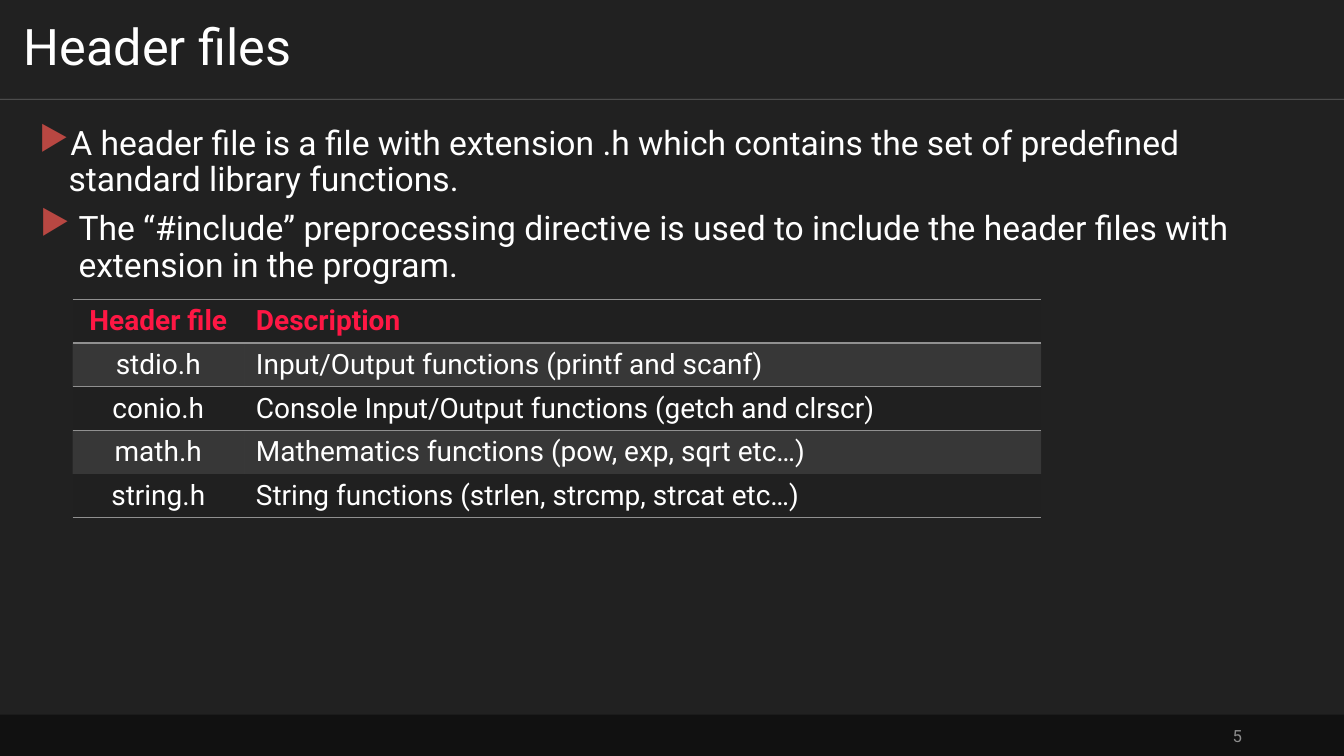
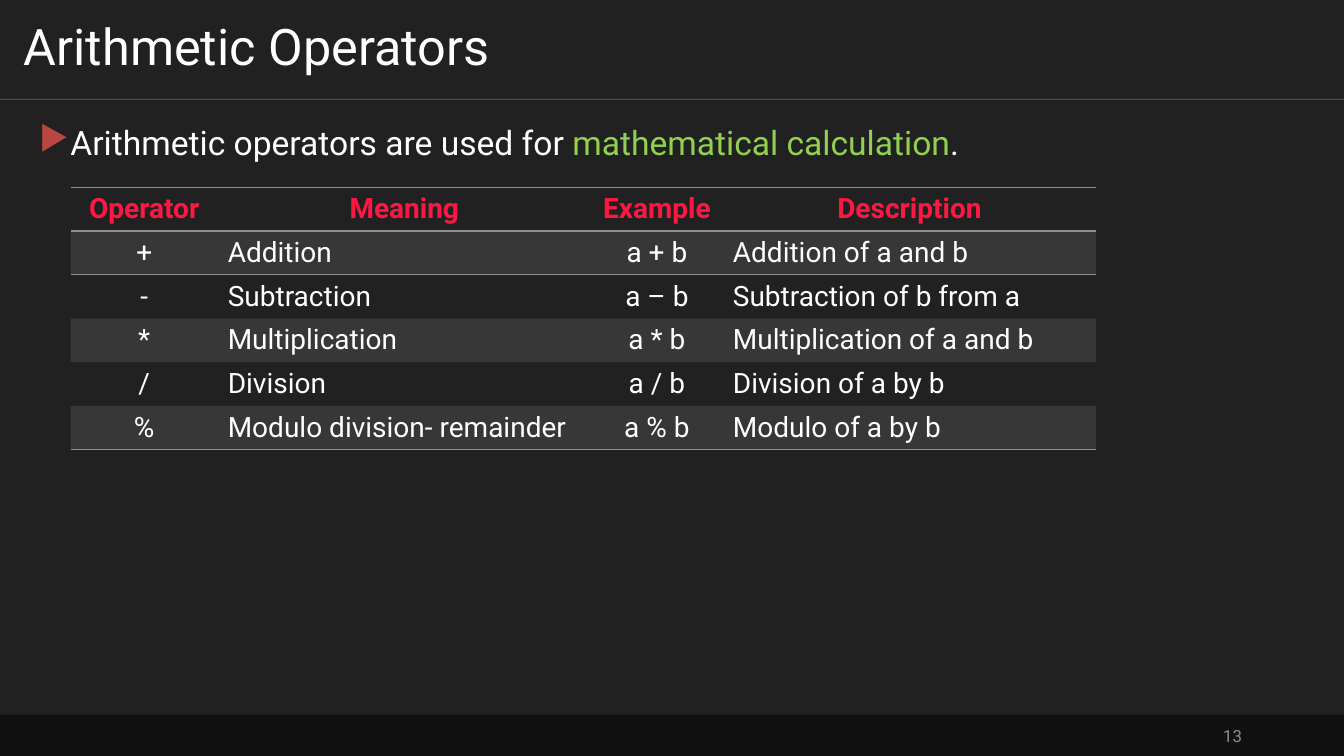
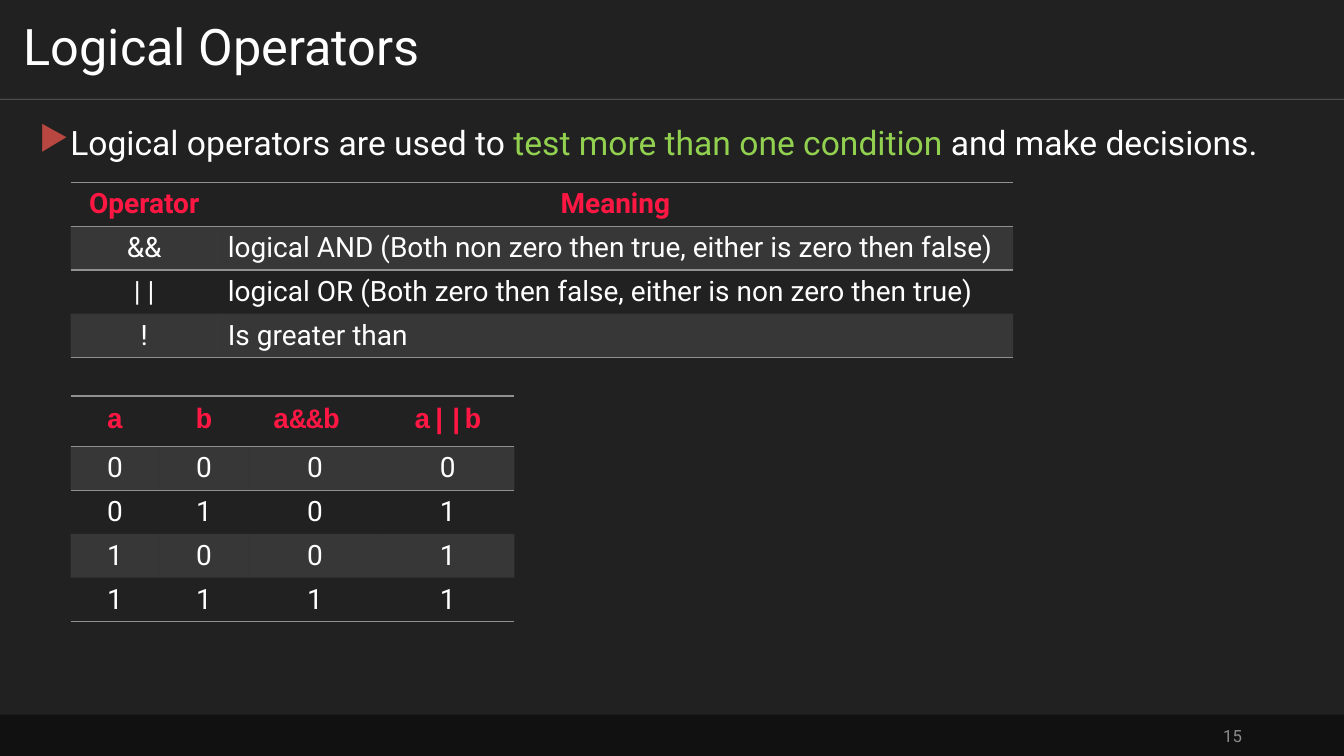
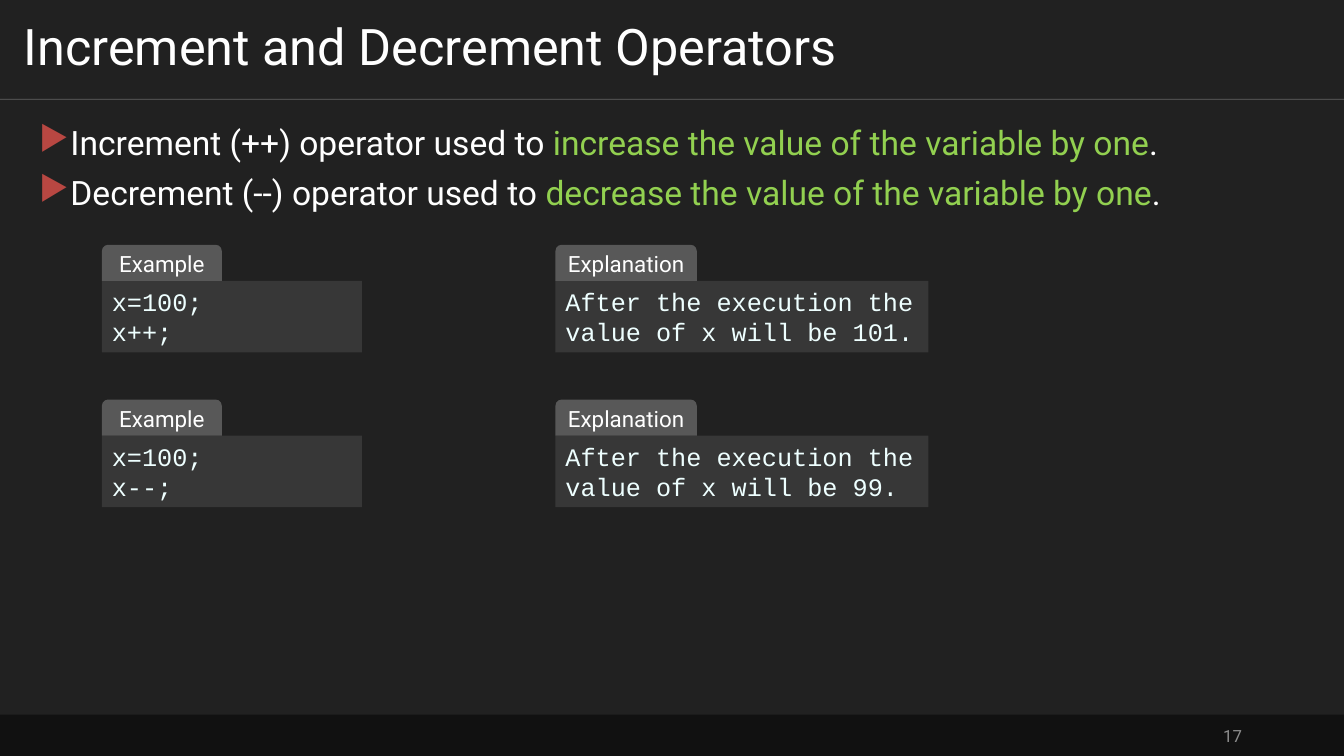
"""Build four dark slides on C header files and operators."""
from dataclasses import dataclass

from lxml.etree import SubElement as Sub
from pptx import Presentation
from pptx.dml.color import RGBColor as RGB
from pptx.enum.shapes import MSO_CONNECTOR as LINK, MSO_SHAPE as SHAPE
from pptx.enum.text import MSO_ANCHOR as ANCHOR, PP_ALIGN as ALIGN
from pptx.oxml.ns import qn
from pptx.util import Cm, Pt


@dataclass(frozen=True)
class Theme:
    back: str = "212121"
    foot: str = "111111"
    text: str = "FFFFFF"
    mute: str = "8D8D8D"
    lime: str = "92D050"
    mark: str = "B84742"
    head: str = "FF1744"
    rule: str = "909090"
    tab: str = "585858"
    box: str = "373737"
    code: str = "EEFFFF"
    sans: str = "Roboto"
    mono: str = "Courier New"
    title: int = 36
    body: int = 24
    cell: int = 20
    snip: int = 18
    label: int = 16
    small: int = 12


T = Theme()
WIDE, HIGH, BAND, FOOT = 33.87, 19.05, 2.5, 1.04
NO_STYLE = "{2D5ABB26-0587-4C30-8999-92F81FD0307C}"
SIDES = {"l": ALIGN.LEFT, "c": ALIGN.CENTER, "r": ALIGN.RIGHT, "j": ALIGN.JUSTIFY}
TIGHT = dict(side="j", lead=0.9, before=10, indent=(0.74, -0.74))
LEFT = {**TIGHT, "side": "l"}
LOOSE = dict(side="l", lead=Pt(27.1), before=7.2, indent=(0.99, -0.97))

SLIDES = [
    dict(
        title="Header files", page=5,
        points=[
            (("A header file is a file with extension .h which contains the set "
              "of predefined standard library functions.",), LEFT),
            (("The “#include” preprocessing directive is used to include the "
              "header files with extension in the program.",), LOOSE),
        ],
        tables=[dict(
            at=(1.83, 7.54), cols=(4.32, 20.09), top=1.1, row=1.1,
            sides="cl", heads="cl", rules=(0, 1, 2, 5), pad=0.3, fill="202020",
            rows=[
                ("Header file", "Description"),
                ("stdio.h", "Input/Output functions (printf and scanf)"),
                ("conio.h", "Console Input/Output functions (getch and clrscr)"),
                ("math.h", "Mathematics functions (pow, exp, sqrt etc…)"),
                ("string.h", "String functions (strlen, strcmp, strcat etc…)"),
            ])],
    ),
    dict(
        title="Arithmetic Operators", page=13,
        points=[(("Arithmetic operators are used for ",
                  "mathematical calculation", "."), TIGHT)],
        tables=[dict(
            at=(1.78, 4.72), cols=(3.71, 9.4, 3.33, 9.4), top=1.08, row=1.08,
            sides="clcl", heads="cccc", rules=(0, 1, 6),
            rows=[
                ("Operator", "Meaning", "Example", "Description"),
                ("+", "Addition", "a + b", "Addition of a and b"),
                ("-", "Subtraction", "a – b", "Subtraction of b from a"),
                ("*", "Multiplication", "a * b", "Multiplication of a and b"),
                ("/", "Division", "a / b", "Division of a by b"),
                ("%", "Modulo division- remainder", "a % b", "Modulo of a by b"),
            ])],
    ),
    dict(
        title="Logical Operators", page=15,
        points=[(("Logical operators are used to ", "test more than one condition ",
                  "and make decisions."), TIGHT)],
        tables=[
            dict(
                at=(1.78, 4.6), cols=(3.71, 20.04), top=1.08, row=1.08,
                sides="cl", heads="cc", rules=(0, 1, 4),
                rows=[
                    ("Operator", "Meaning"),
                    ("&&", "logical AND (Both non zero then true, either is zero then false)"),
                    ("| |", "logical OR (Both zero then false, either is non zero then true)"),
                    ("!", "Is greater than"),
                ]),
            dict(
                at=(1.78, 9.98), cols=(2.24, 2.24, 3.35, 3.35), top=1.27, row=1.1,
                sides="cccc", heads="cccc", rules=(0, 1, 5), font=T.mono,
                rows=[
                    ("a", "b", "a&&b ", "a||b"),
                    ("0", "0", "0", "0"),
                    ("0", "1", "0", "1"),
                    ("1", "0", "0", "1"),
                    ("1", "1", "1", "1"),
                ]),
        ],
    ),
    dict(
        title="Increment and Decrement Operators", page=17,
        points=[
            (("Increment (++) operator used to ",
              "increase the value of the variable by one", "."), TIGHT),
            (("Decrement (--) operator used to ",
              "decrease the value of the variable by one", "."), TIGHT),
        ],
        snips=[
            (("x=100;", "x++;"), ("After the execution the value of x will be 101.",)),
            (("x=100;", "x--;"), ("After the execution the value of x will be 99.",)),
        ],
    ),
]

PANELS = [("Example", 2.57, 6.55, 3.02), ("Explanation", 14.0, 9.4, 3.56)]
SNIP_TOP, SNIP_STEP, TAB_HIGH, BOX_HIGH = 6.17, 3.9, 0.91, 1.8


def write(frame, runs, size=T.body, color=T.text, font=T.sans, bold=False,
          side="l", lead=None, before=None, indent=None):
    """Add a paragraph whose every second run is highlighted."""
    para = frame.paragraphs[-1]
    if para.runs:
        para = frame.add_paragraph()
    para.alignment = SIDES[side]
    if lead:
        para.line_spacing = lead
    if before:
        para.space_before = Pt(before)
    if indent:
        props = para._p.get_or_add_pPr()
        for key, val in zip(("marL", "indent"), indent):
            props.set(key, str(Cm(val)))
        Sub(Sub(props, qn("a:buClr")), qn("a:srgbClr"), val=T.mark)
        Sub(props, qn("a:buChar"), char="▶")
    for i, text in enumerate(runs):
        run = para.add_run()
        run.text = text
        run.font.size, run.font.name, run.font.bold = Pt(size), font, bold
        run.font.color.rgb = RGB.from_string(T.lime if i % 2 else color)


def paint(fill, color):
    """Give a fill one solid colour."""
    fill.solid()
    fill.fore_color.rgb = RGB.from_string(color)


def fade(node, pct):
    """Set the opacity of the first colour below a node."""
    Sub(node.find(".//" + qn("a:srgbClr")), qn("a:alpha"), val=str(pct * 1000))


def fit(frame, pads=(0.25, 0.13), anchor=ANCHOR.TOP):
    """Set wrapping, insets and anchor of a text frame."""
    frame.word_wrap = True
    frame.margin_left = frame.margin_right = Cm(pads[0])
    frame.margin_top = frame.margin_bottom = Cm(pads[1])
    frame.vertical_anchor = anchor
    return frame


def label(slide, area, **fmt):
    """Add a text box and return its frame."""
    return fit(slide.shapes.add_textbox(*map(Cm, area)).text_frame, **fmt)


def block(slide, kind, area, color):
    """Add a flat shape without outline."""
    shape = slide.shapes.add_shape(kind, *map(Cm, area))
    shape.shadow.inherit = False
    shape.line.fill.background()
    paint(shape.fill, color)
    return shape


def base(slide, title, page):
    """Draw the background, title, rule, footer and page number."""
    paint(slide.background.fill, T.back)
    line = slide.shapes.add_connector(LINK.STRAIGHT, 0, Cm(BAND), Cm(WIDE), Cm(BAND))
    line.line.width = Pt(0.5)
    paint(line.line.fill, T.text)
    props = line._element.spPr
    fade(props, 30)
    Sub(props, qn("a:effectLst"))
    block(slide, SHAPE.RECTANGLE, (0, HIGH - FOOT, WIDE, FOOT), T.foot)
    num = label(slide, (23.93, 18.03, 7.62, 1.02), anchor=ANCHOR.MIDDLE)
    write(num, [str(page)], size=T.small, color=T.mute, side="r")
    head = label(slide, (0, 0, WIDE, BAND), pads=(0.6, 0.3), anchor=ANCHOR.MIDDLE)
    write(head, [title], size=T.title, lead=0.9)


def edge(props, tag):
    """Add one border line to a cell."""
    line = Sub(props, qn(tag), w=str(Pt(1)))
    Sub(Sub(line, qn("a:solidFill")), qn("a:srgbClr"), val=T.rule)


def grid(slide, at, cols, top, row, sides, heads, rules, rows,
         pad=0.25, fill=None, font=T.sans):
    """Draw a table with a red head, shaded odd rows and ruled edges."""
    highs = [top] + [row] * (len(rows) - 1)
    area = (*at, sum(cols), sum(highs))
    table = slide.shapes.add_table(len(rows), len(cols), *map(Cm, area)).table
    table.first_row = table.horz_banding = False
    table._tbl.tblPr.find(qn("a:tableStyleId")).text = NO_STYLE
    for col, wide in zip(table.columns, cols):
        col.width = Cm(wide)
    for r, texts in enumerate(rows):
        table.rows[r].height = Cm(highs[r])
        for c, text in enumerate(texts):
            cell = table.cell(r, c)
            cell.margin_left = cell.margin_right = Cm(pad)
            cell.vertical_anchor = ANCHOR.MIDDLE
            look = (dict(color=T.head, font=font, bold=True, side=heads[c])
                    if r == 0 else dict(side=sides[c]))
            write(cell.text_frame, [text], size=T.cell, **look)
            props = cell._tc.get_or_add_tcPr()
            for tag, pos in (("a:lnT", r), ("a:lnB", r + 1)):
                if pos in rules:
                    edge(props, tag)
            if r % 2:
                paint(cell.fill, T.rule)
                fade(props.find(qn("a:solidFill")), 20)
            elif fill:
                paint(cell.fill, fill)
            else:
                cell.fill.background()


def panel(slide, name, lines, x, y, wide, tab):
    """Draw a code box with a tab above it."""
    box = block(slide, SHAPE.RECTANGLE, (x, y + TAB_HIGH, wide, BOX_HIGH), T.box)
    frame = fit(box.text_frame)
    for line in lines:
        write(frame, [line], size=T.snip, color=T.code, font=T.mono)
    top = block(slide, SHAPE.ROUND_2_SAME_RECTANGLE, (x, y, tab, TAB_HIGH), T.tab)
    frame = fit(top.text_frame, pads=(0.25, 0), anchor=ANCHOR.MIDDLE)
    write(frame, [name], size=T.label, side="c")


def main():
    """Build and save the deck."""
    deck = Presentation()
    deck.slide_width, deck.slide_height = Cm(WIDE), Cm(HIGH)
    for data in SLIDES:
        slide = deck.slides.add_slide(deck.slide_layouts[6])
        base(slide, data["title"], data["page"])
        body = label(slide, (0.74, 3.05, 32.41, 14.5))
        for runs, look in data["points"]:
            write(body, runs, **look)
        for spec in data.get("tables", []):
            grid(slide, **spec)
        for i, pair in enumerate(data.get("snips", [])):
            y = SNIP_TOP + i * SNIP_STEP
            for (name, x, wide, tab), lines in zip(PANELS, pair):
                panel(slide, name, lines, x, y, wide, tab)
    deck.save("out.pptx")


if __name__ == "__main__":
    main()
